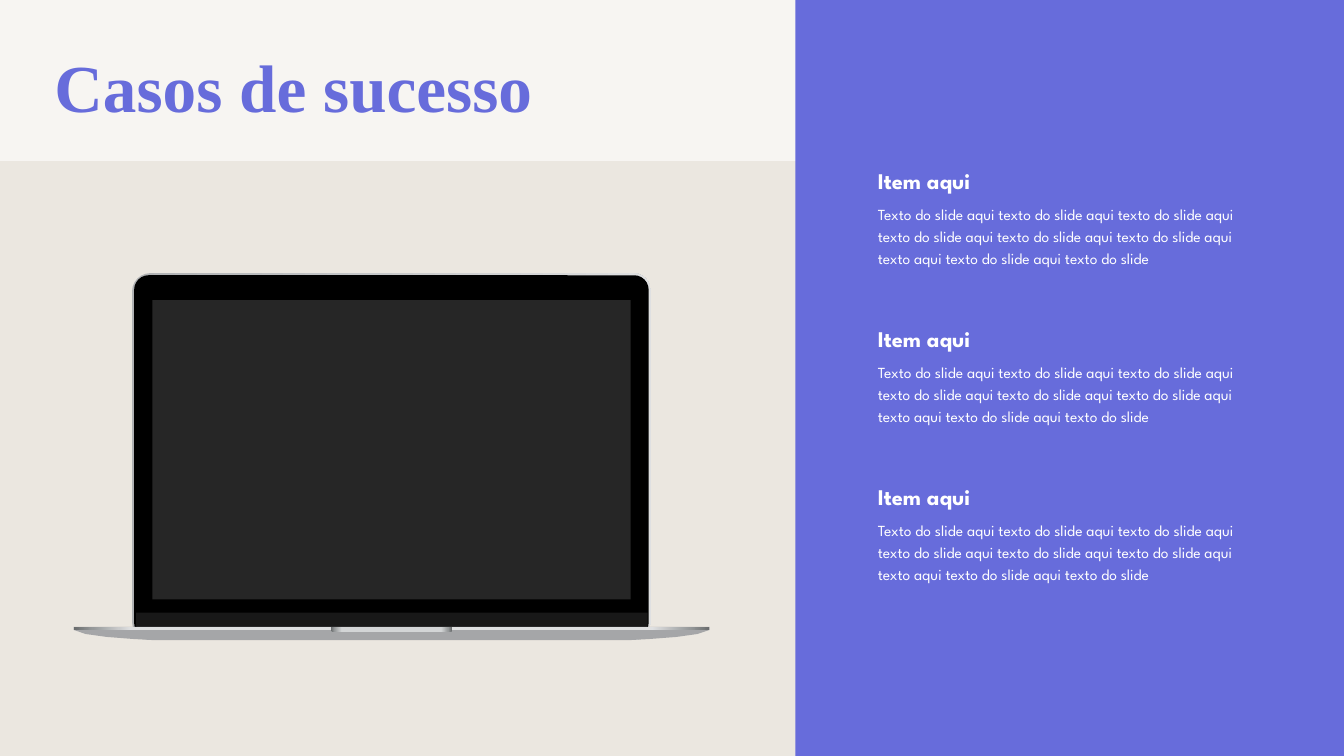
"""Build a success stories slide with a laptop and three items."""
import lxml.etree
import pptx
import pptx.dml.color
import pptx.enum.shapes
import pptx.enum.text
import pptx.oxml.ns
import pptx.util

Pt = pptx.util.Pt
RGB = pptx.dml.color.RGBColor
KIND = pptx.enum.shapes.MSO_SHAPE
qn = pptx.oxml.ns.qn

PAPER = RGB(0xF7, 0xF5, 0xF2)
SAND = RGB(0xEB, 0xE7, 0xE0)
VIOLET = RGB(0x67, 0x6C, 0xDB)
WHITE = RGB(0xFF, 0xFF, 0xFF)
BLACK = RGB(0x00, 0x00, 0x00)
COAL = RGB(0x18, 0x18, 0x18)
SCREEN = RGB(0x26, 0x26, 0x26)
STEEL = RGB(0xA5, 0xA6, 0xA8)
IRON = RGB(0x68, 0x6B, 0x6C)
GREY = RGB(0x96, 0x99, 0x9A)
SILVER = RGB(0xDF, 0xE0, 0xE1)
PEARL = RGB(0xD3, 0xD5, 0xD6)
ALLOY = RGB(0xB0, 0xB2, 0xB4)

BODY = ("Texto do slide aqui texto do slide aqui texto do slide aqui "
        "texto do slide aqui texto do slide aqui texto do slide aqui "
        "texto aqui texto do slide aqui texto do slide")


class Deck:
    """Hold the style and the current slide."""

    def __init__(self):
        self.show = pptx.Presentation()
        self.show.slide_width, self.show.slide_height = Pt(960), Pt(540)
        self.slide = self.show.slides.add_slide(self.show.slide_layouts[5])
        self.shapes = self.slide.shapes
        self.font = "League Spartan"
        fill = self.slide.background.fill
        fill.solid()
        fill.fore_color.rgb = PAPER

    def place(self, shape, box):
        shape.left, shape.top, shape.width, shape.height = map(Pt, box)

    def letter(self, frame, text, size, font, color, bold=False, gap=None):
        frame.word_wrap = True
        frame.auto_size = pptx.enum.text.MSO_AUTO_SIZE.NONE
        frame.vertical_anchor = pptx.enum.text.MSO_ANCHOR.TOP
        frame.text = text
        line = frame.paragraphs[0]
        line.alignment = pptx.enum.text.PP_ALIGN.LEFT
        line.line_spacing = gap
        face = line.runs[0].font
        face.size, face.name, face.bold = Pt(size), font, bold
        face.color.rgb = color

    def title(self, text, box):
        self.place(self.shapes.title, box)
        self.letter(self.shapes.title.text_frame, text, 48,
                    "Times New Roman", VIOLET, True, Pt(70))

    def label(self, text, box, size, bold=False, gap=None):
        area = self.shapes.add_textbox(*map(Pt, box))
        self.letter(area.text_frame, text, size, self.font, WHITE, bold, gap)

    def paint(self, shape, color):
        shape.shadow.inherit = False
        shape.line.fill.background()
        if isinstance(color, RGB):
            shape.fill.solid()
            shape.fill.fore_color.rgb = color
            return
        shape.fill.gradient()
        shape.fill.gradient_angle = 0
        stops = shape.element.find(".//" + qn("a:gsLst"))
        stops.clear()
        for spot, tone in color:
            stop = lxml.etree.SubElement(stops, qn("a:gs"), pos=str(spot * 1000))
            lxml.etree.SubElement(stop, qn("a:srgbClr"), val=str(tone))

    def shape(self, box, color, kind=KIND.RECTANGLE, bends=()):
        shape = self.shapes.add_shape(kind, *map(Pt, box))
        for i, bend in enumerate(bends):
            shape.adjustments[i] = bend
        self.paint(shape, color)

    def outline(self, points, color):
        first, *rest = [(Pt(x), Pt(y)) for x, y in points]
        pen = self.shapes.build_freeform(*first)
        pen.add_line_segments(rest, close=True)
        self.paint(pen.convert_to_shape(), color)


def metal(shine):
    half = [(0, IRON), (3, GREY), (9, shine)]
    return half + [(100 - spot, tone) for spot, tone in reversed(half)]


def laptop(deck):
    round_all, round_two = KIND.ROUNDED_RECTANGLE, KIND.ROUND_2_SAME_RECTANGLE
    deck.shape((94.3, 195.1, 370.8, 262.1), [(0, ALLOY), (100, SILVER)],
               round_all, [0.05])
    deck.shape((95.8, 196.6, 367.5, 258.5), BLACK, round_all, [0.04])
    deck.shape((97.2, 437.6, 365.4, 17), COAL, round_two, [0, 0.5])
    deck.shape((108.9, 214.4, 341.5, 213.8), SCREEN)
    mid = 279.7
    left = [(52.6, 447.8), (52.6, 450), (61.2, 452.9), (76.3, 455),
            (95.8, 456.5), (108.7, 457.2)]
    right = [(2 * mid - x, y) for x, y in reversed(left)]
    deck.outline(left + right, STEEL)
    deck.shape((52.6, 447.8, 454.2, 2.2), metal(SILVER))
    deck.shape((236.5, 447.8, 86.4, 3.8), metal(PEARL), round_two, [0, 0.5])


def main():
    deck = Deck()
    deck.title("Casos de sucesso", (31.7, 16.6, 769.7, 77.8))
    deck.shape((0, 115.2, 960, 424.8), SAND)
    laptop(deck)
    deck.shape((568.2, 0, 391.8, 540), VIOLET)
    for i in range(3):
        top = 116 + 112.8 * i
        deck.label(BODY, (619.9, top + 24.2, 287.3, 58.3), 11, gap=1.2)
        deck.label("Item aqui", (619.9, top, 287.3, 26.6), 16, bold=True)
    deck.show.save("out.pptx")


if __name__ == "__main__":
    main()
